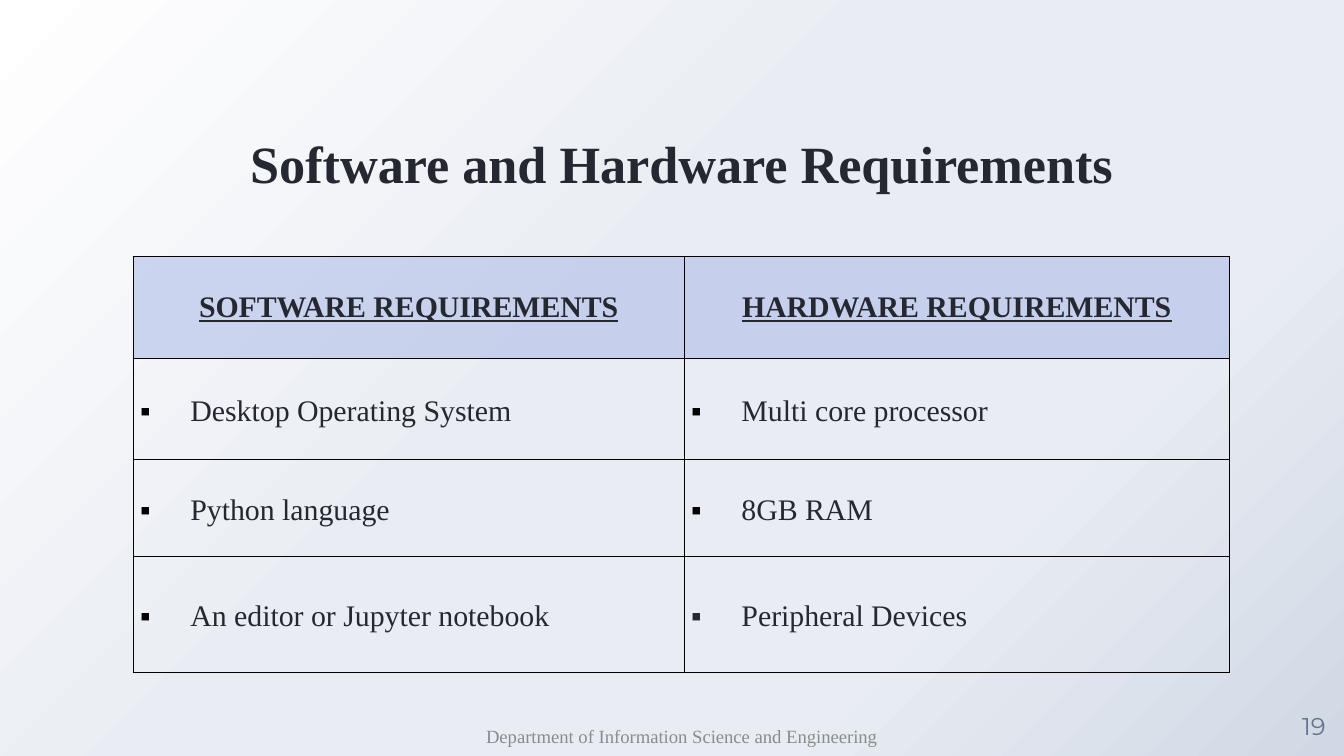
from dataclasses import dataclass

from lxml import etree
from pptx import Presentation
from pptx.dml.color import RGBColor
from pptx.enum import text
from pptx.oxml import parse_xml
from pptx.oxml.ns import nsdecls, qn
from pptx.util import Pt


@dataclass(frozen=True)
class Theme:
    """Colours, fonts and type sizes of the slide."""
    ink: str = "252831"
    black: str = "000000"
    muted: str = "8A8B8D"
    number: str = "68728D"
    header: str = "A9B9E7"
    header_alpha: int = 54
    backdrop: tuple = ((0, "FFFFFF"), (44, "E9EDF3"), (72, "E9EDF3"), (100, "D0D8E5"))
    serif: str = "Times New Roman"
    sans: str = "Montserrat"
    title: int = 28
    body: int = 16
    page: int = 13
    footer: int = 10


T = Theme()
MIDDLE, TOP = text.MSO_ANCHOR.MIDDLE, text.MSO_ANCHOR.TOP
CENTER, LEFT = text.PP_ALIGN.CENTER, text.PP_ALIGN.LEFT
SIDES = ("left", "top", "right", "bottom")
HEADINGS = ("SOFTWARE REQUIREMENTS", "HARDWARE REQUIREMENTS")
ITEMS = (
    ("Desktop Operating System", "Multi core processor"),
    ("Python language", "8GB RAM"),
    ("An editor or Jupyter notebook", "Peripheral Devices"),
)
COLUMNS = (295.2, 292)
ROWS = (54.6, 54, 52, 62.2)


def set_attrs(obj, values):
    """Set every attribute named in a dict."""
    for name, value in values.items():
        setattr(obj, name, value)


def set_margins(obj, margins):
    """Set left, top, right and bottom margins in points."""
    set_attrs(obj, {f"margin_{side}": Pt(m) for side, m in zip(SIDES, margins)})


def write(p, words, size, color, font=T.serif, align=CENTER, **style):
    """Write one formatted run into a paragraph."""
    p.alignment = align
    r = p.add_run()
    r.text = words
    set_attrs(r.font, {"name": font, "size": Pt(size), **style})
    r.font.color.rgb = RGBColor.from_string(color)


def add_label(s, box, words, size, color, margins=(0, 0, 0, 0), anchor=MIDDLE, **style):
    """Place a single-line text box."""
    tf = s.shapes.add_textbox(*map(Pt, box)).text_frame
    set_attrs(tf, {"word_wrap": True, "vertical_anchor": anchor})
    set_margins(tf, margins)
    write(tf.paragraphs[0], words, size, color, **style)


def set_background(s):
    """Fill the slide with a gradient spreading from the top left corner."""
    stops = "".join(
        f'<a:gs pos="{pos * 1000}"><a:srgbClr val="{color}"/></a:gs>'
        for pos, color in T.backdrop)
    bg = parse_xml(
        f'<p:bg {nsdecls("p", "a")}><p:bgPr><a:gradFill rotWithShape="1">'
        f'<a:gsLst>{stops}</a:gsLst><a:path path="circle">'
        '<a:fillToRect r="100000" b="100000"/></a:path></a:gradFill>'
        '<a:effectLst/></p:bgPr></p:bg>')
    s.element.cSld.insert(0, bg)


def add_borders(cell):
    """Draw a thin line on all four sides of a cell."""
    tc_pr = cell._tc.get_or_add_tcPr()
    for side in "LRTB":
        tc_pr.append(parse_xml(
            f'<a:ln{side} {nsdecls("a")} w="{Pt(0.75)}"><a:solidFill>'
            f'<a:srgbClr val="{T.black}"/></a:solidFill></a:ln{side}>'))


def add_bullet(p, color):
    """Give a paragraph a square bullet with a hanging indent."""
    p_pr = p._p.get_or_add_pPr()
    p_pr.set("marL", str(Pt(27)))
    p_pr.set("indent", str(-Pt(27)))
    bu_clr = etree.SubElement(p_pr, qn("a:buClr"))
    etree.SubElement(bu_clr, qn("a:srgbClr"), val=color)
    etree.SubElement(p_pr, qn("a:buFont"), typeface=T.serif)
    etree.SubElement(p_pr, qn("a:buChar"), char="▪")


def fill_heading(cell, words):
    """Format a heading cell."""
    set_margins(cell, (7.2, 3.6, 7.2, 3.6))
    cell.fill.solid()
    cell.fill.fore_color.rgb = RGBColor.from_string(T.header)
    clr = cell._tc.tcPr.find(".//" + qn("a:srgbClr") + f"[@val='{T.header}']")
    etree.SubElement(clr, qn("a:alpha"), val=str(T.header_alpha * 1000))
    write(cell.text_frame.paragraphs[0], words, T.body, T.ink, bold=True, underline=True)


def fill_item(cell, words, bullet):
    """Format a bulleted cell."""
    set_margins(cell, (3.6, 0, 3.6, 0))
    cell.fill.background()
    p = cell.text_frame.paragraphs[0]
    add_bullet(p, bullet)
    p.line_spacing = 1.15
    write(p, words, T.body, T.ink, align=LEFT, bold=False)


def add_requirements(s, left, top):
    """Place the two-column requirements table."""
    table = s.shapes.add_table(
        len(ROWS), len(COLUMNS), Pt(left), Pt(top), Pt(sum(COLUMNS)), Pt(sum(ROWS))).table
    set_attrs(table, {"first_row": False, "horz_banding": False})
    for column, width in zip(table.columns, COLUMNS):
        column.width = Pt(width)
    for row, height in zip(table.rows, ROWS):
        row.height = Pt(height)
    for i, line in enumerate((HEADINGS, *ITEMS)):
        for j, words in enumerate(line):
            cell = table.cell(i, j)
            cell.vertical_anchor = MIDDLE
            add_borders(cell)
            if i == 0:
                fill_heading(cell, words)
            else:
                last = (i, j) == (len(ITEMS), len(COLUMNS) - 1)
                fill_item(cell, words, T.ink if last else T.black)


def build_slide(prs):
    """Build the requirements slide."""
    s = prs.slides.add_slide(prs.slide_layouts[6])
    set_background(s)
    add_label(s, (687.6, 372.6, 32.4, 32.4), "19", T.page, T.number, font=T.sans)
    add_label(s, (129.6, 70, 471, 67.6), "Software and Hardware Requirements",
              T.title, T.ink, margins=(0, 0.3, 0, 0), anchor=TOP, bold=True)
    add_requirements(s, 71.4, 137.4)
    add_label(s, (212.4, 383.4, 305.4, 21.6),
              "Department of Information Science and Engineering",
              T.footer, T.muted, margins=(7.2, 3.6, 7.2, 3.6))


def main():
    """Create and save the presentation."""
    prs = Presentation()
    set_attrs(prs, {"slide_width": Pt(720), "slide_height": Pt(405)})
    build_slide(prs)
    prs.save("out.pptx")


if __name__ == "__main__":
    main()
